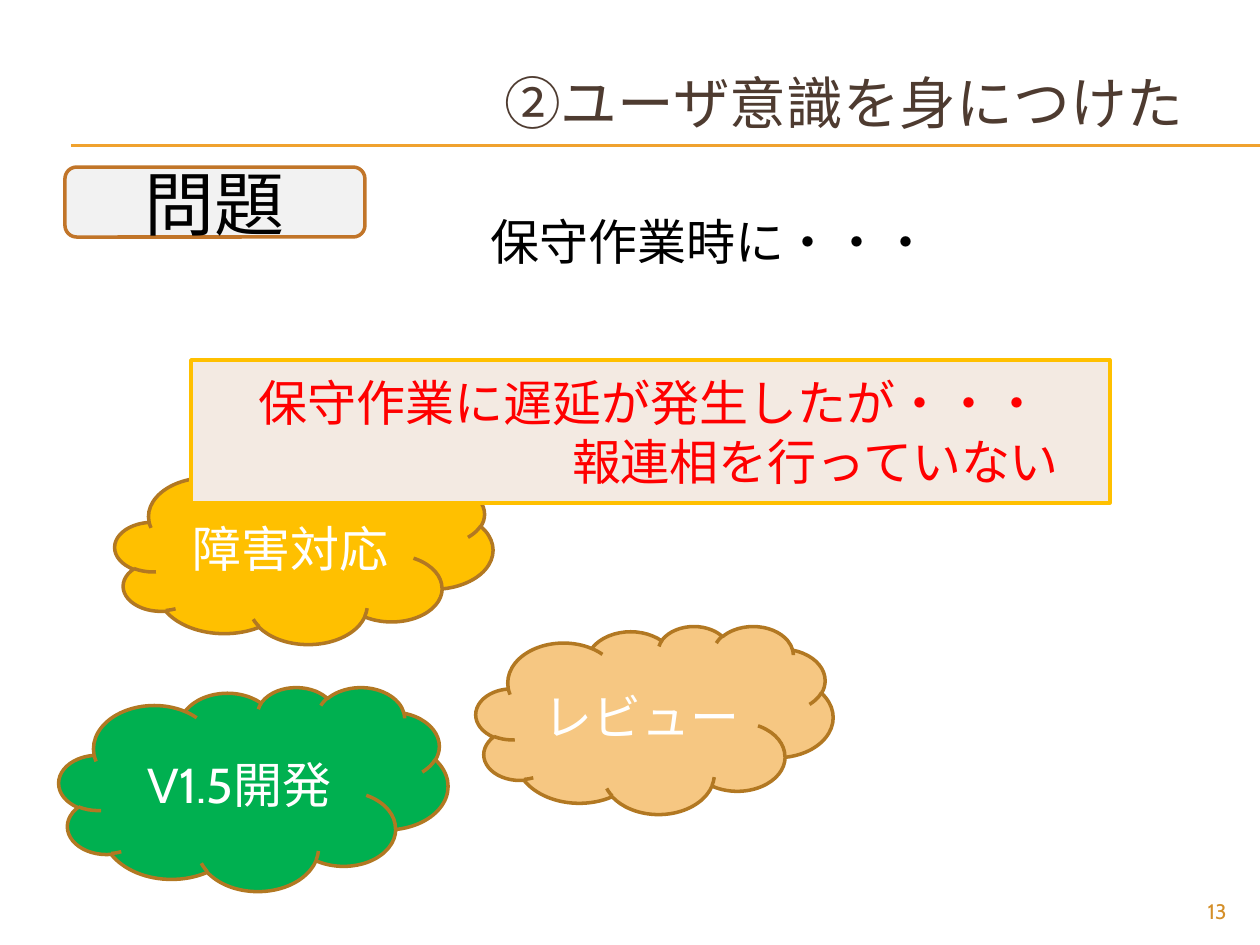
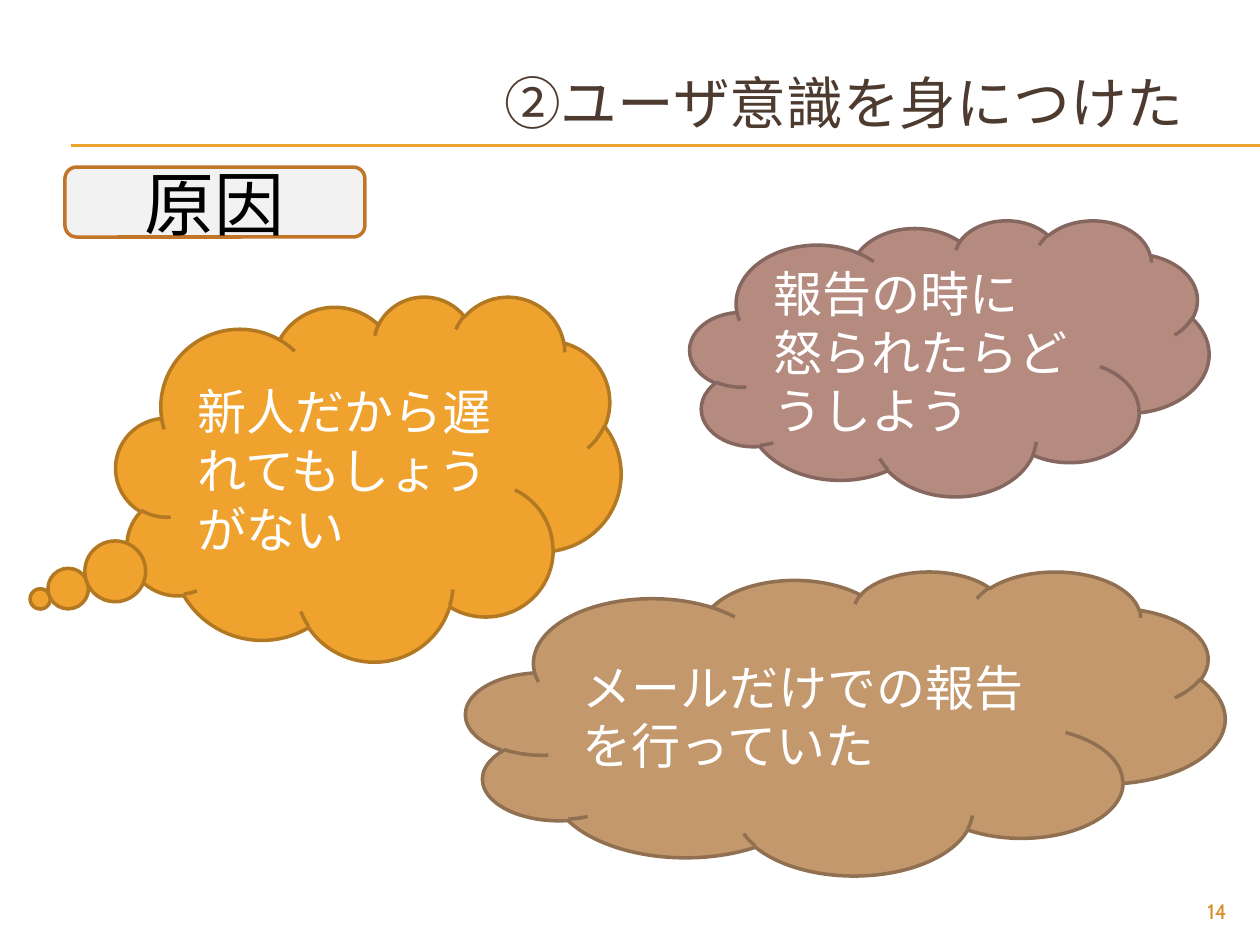
from pptx import Presentation
from pptx import util as u
from pptx.dml import color
from pptx.enum import shapes, text
from pptx.oxml import xmlchemy as x

TITLE = "②ユーザ意識を身につけた"
FONT = "Cabin"
RULES = (145, 146)
TAG = (65, 167, 300, 70)
HEAD = (461, 102, 735, 66)
PAGE = (1134, 892, 105, 34)
GOLD, WHITE, BLACK, OCHRE = "F0A22E", "FFFFFF", "000000", "B27822"
KIND = shapes.MSO_SHAPE
SIDE = text.PP_ALIGN
MID = {"align": SIDE.CENTER}
LEFT = {"align": SIDE.LEFT}

SLIDES = [
    {"page": "13", "tag": "問題",
     "parts": [
         (KIND.CLOUD, (115, 461, 378, 183), "FFC000", OCHRE, ["障害対応"], MID),
         (KIND.CLOUD, (59, 687, 389, 204), "00B050", OCHRE, ["V1.5開発"], MID),
         (KIND.CLOUD, (476, 626, 357, 188), "F6C782", OCHRE, ["レビュー"], MID),
         (KIND.RECTANGLE, (191, 360, 919, 143), "F3EAE2", "FFC000",
          ["保守作業に遅延が発生したが・・・", "報連相を行っていない"],
          {"align": SIDE.CENTER, "hue": "FF0000", "shift": 330}),
     ],
     "note": ("保守作業時に・・・", (478, 205, 500, 72))},
    {"page": "14", "tag": "原因",
     "parts": [
         (KIND.CLOUD_CALLOUT, (116, 296, 505, 365), GOLD, OCHRE,
          ["新人だから遅れてもしょうがない"], {**LEFT, "tail": (-0.65, 0.33)}),
         (KIND.CLOUD, (690, 220, 519, 276), "B58B80", "86675F",
          ["報告の時に", "怒られたらどうしよう"], LEFT),
         (KIND.CLOUD, (466, 571, 759, 304), "C3986D", "907051",
          ["メールだけでの報告を行っていた"], LEFT),
     ]},
]


def px(n):
    return u.Emu(round(n * 914400 / 126))


def rgb(code):
    return color.RGBColor.from_string(code)


def put(item, vals):
    for key, val in vals.items():
        setattr(item, key, val)


def place(item, box):
    put(item, dict(zip(("left", "top", "width", "height"), map(px, box))))


def write(item, rows, size, hue, align, anchor=text.MSO_ANCHOR.MIDDLE, shift=0):
    frame = item.text_frame
    put(frame, {"word_wrap": True, "vertical_anchor": anchor})
    for i, row in enumerate(rows):
        para = frame.add_paragraph() if i else frame.paragraphs[0]
        para.alignment = align
        if i and shift:
            para._p.get_or_add_pPr().set("marL", str(px(shift)))
        run = para.add_run()
        run.text = row
        put(run.font, {"name": FONT, "size": u.Pt(size), "bold": False})
        run.font.color.rgb = rgb(hue)


def stroke(line, hue, width):
    line.color.rgb = rgb(hue)
    line.width = u.Pt(width)


def draw(slide, kind, box, fill, edge, rows, look, size=28):
    item = slide.shapes.add_shape(kind, *map(px, box))
    item.shadow.inherit = False
    item.fill.solid()
    item.fill.fore_color.rgb = rgb(fill)
    stroke(item.line, edge, 2)
    for i, val in enumerate(look.get("tail", ())):
        item.adjustments[i] = val
    write(item, rows, size, look.get("hue", WHITE), look["align"],
          shift=look.get("shift", 0))


def label(slide, words, box, size, hue, align):
    item = slide.shapes.add_textbox(*map(px, box))
    write(item, [words], size, hue, align, text.MSO_ANCHOR.TOP)


def frame(slide, page):
    for y in RULES:
        rule = slide.shapes.add_connector(
            shapes.MSO_CONNECTOR.STRAIGHT, *map(px, (71, y, 1260, y)))
        stroke(rule.line, GOLD, 0.75)
        x.OxmlElement("a:effectLst")
        rule._element.spPr.append(x.OxmlElement("a:effectLst"))
    head = slide.shapes.title
    place(head, HEAD)
    write(head, [TITLE], 32.4, "4E3B30", SIDE.RIGHT, text.MSO_ANCHOR.BOTTOM)
    put(head.text_frame, {"margin_top": 0, "margin_bottom": px(32),
                          "auto_size": text.MSO_AUTO_SIZE.NONE})
    label(slide, page, PAGE, 12, "D48F29", SIDE.RIGHT)


def main():
    deck = Presentation()
    put(deck, {"slide_width": px(1260), "slide_height": px(945)})
    for data in SLIDES:
        slide = deck.slides.add_slide(deck.slide_layouts[5])
        frame(slide, data["page"])
        for part in data["parts"]:
            draw(slide, *part)
        if "note" in data:
            label(slide, *data["note"], 28, BLACK, SIDE.LEFT)
        draw(slide, KIND.ROUNDED_RECTANGLE, TAG, "F2F2F2", "C17529",
             [data["tag"]], {**MID, "hue": BLACK}, 40)
    deck.save("out.pptx")


if __name__ == "__main__":
    main()
